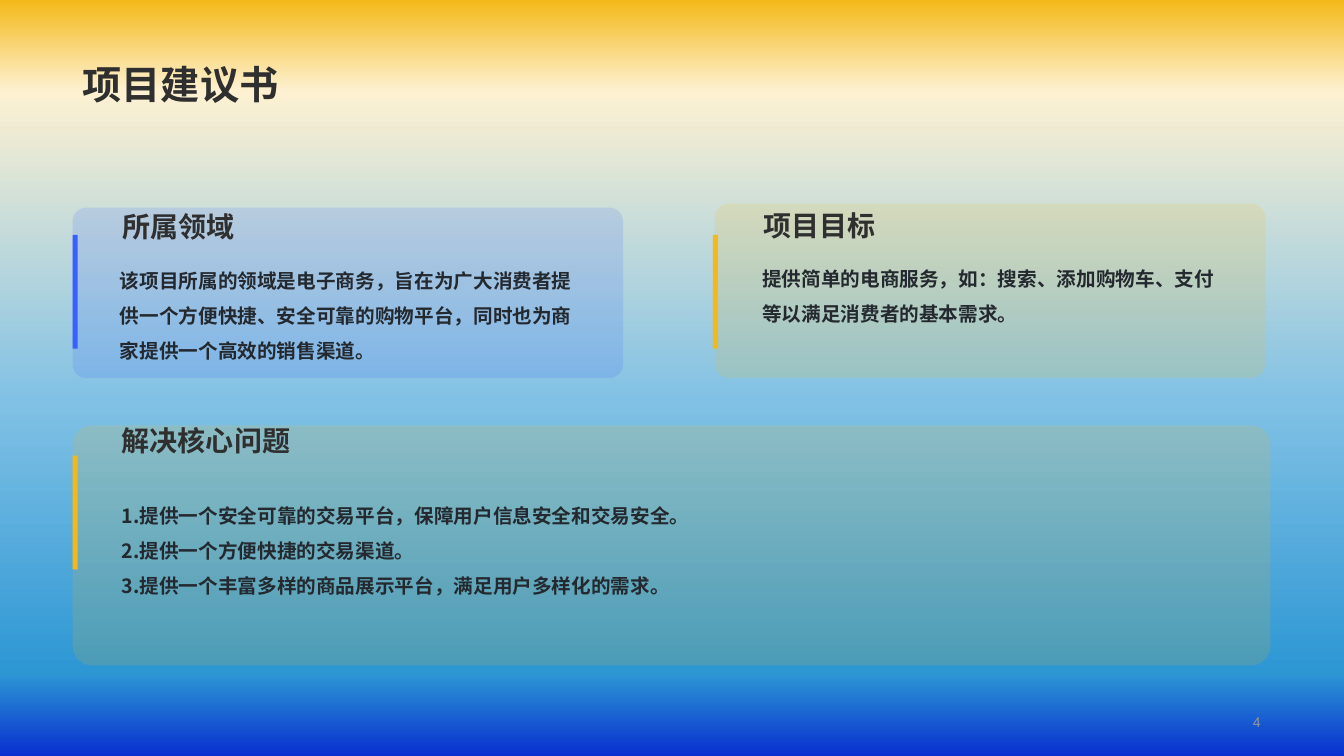
from dataclasses import dataclass

from lxml import etree
from pptx import Presentation
from pptx.dml.color import RGBColor
from pptx.enum.shapes import MSO_SHAPE as Shape
from pptx.enum.text import MSO_ANCHOR as Anchor, MSO_AUTO_SIZE as AutoSize, PP_ALIGN as Align
from pptx.oxml.ns import qn
from pptx.util import Inches, Pt


@dataclass(frozen=True)
class Theme:
    heading_font: str = "Arial"
    body_font: str = "Noto Sans CJK SC"
    heading: str = "2F2F2F"
    body: str = "24292F"
    muted: str = "979797"
    blue: str = "3960FF"
    gold: str = "F4B919"
    title_size: int = 28
    heading_size: int = 20
    body_size: int = 14
    number_size: int = 10
    card_opacity: int = 15
    # Position in percent and colour, from top to bottom
    background: tuple = ((0, "F4B919"), (12, "FDF1D1"), (53, "81C1E5"),
                         (89, "2D97D4"), (100, "0830D0"))


class ProposalSlide:
    def __init__(self, deck, theme):
        self.theme = theme
        self.slide = deck.slides.add_slide(deck.slide_layouts[5])
        self.shapes = self.slide.shapes

    def background(self):
        fill = self.slide.background.fill
        fill.gradient()
        fill.gradient_angle = 270
        stops = self.slide.element.find(".//" + qn("a:gsLst"))
        for stop in list(stops):
            stops.remove(stop)
        for percent, colour in self.theme.background:
            stop = etree.SubElement(stops, qn("a:gs"), pos=str(percent * 1000))
            etree.SubElement(stop, qn("a:srgbClr"), val=colour)

    def set_text(self, frame, lines, size, colour, font, bold=True,
                 align=Align.LEFT, spacing=1.0):
        frame.word_wrap = True
        frame.text = "\n".join(lines)
        for paragraph in frame.paragraphs:
            paragraph.alignment = align
            paragraph.line_spacing = spacing
            style = paragraph.font
            style.size = Pt(size)
            style.bold = bold
            style.color.rgb = RGBColor.from_string(colour)
            style.name = font
            latin = paragraph._p.find(".//" + qn("a:latin"))
            east_asian = etree.Element(qn("a:ea"), typeface=self.theme.body_font)
            latin.addnext(east_asian)

    def title(self, text):
        title = self.shapes.title
        title.left, title.top = Inches(0.72), Inches(0)
        title.width, title.height = Inches(11.88), Inches(1.12)
        frame = title.text_frame
        frame.vertical_anchor = Anchor.BOTTOM
        frame.auto_size = AutoSize.NONE
        self.set_text(frame, [text], self.theme.title_size, self.theme.heading,
                      self.theme.heading_font, spacing=0.9)

    def label(self, text, left, top, width, height, size, colour,
              anchor=Anchor.TOP, **style):
        box = self.shapes.add_textbox(Inches(left), Inches(top),
                                      Inches(width), Inches(height))
        box.text_frame.vertical_anchor = anchor
        self.set_text(box.text_frame, [text], size, colour,
                      self.theme.heading_font, **style)

    def block(self, kind, left, top, width, height, colour):
        block = self.shapes.add_shape(kind, Inches(left), Inches(top),
                                      Inches(width), Inches(height))
        block.shadow.inherit = False
        block.fill.solid()
        block.fill.fore_color.rgb = RGBColor.from_string(colour)
        block.line.fill.background()
        return block

    def panel(self, left, top, width, height, colour, lines, bottom_inset):
        panel = self.block(Shape.ROUNDED_RECTANGLE, left, top, width, height, colour)
        panel.adjustments[0] = 0.08
        tint = panel._element.spPr.find(qn("a:solidFill"))[0]
        etree.SubElement(tint, qn("a:alpha"), val=str(self.theme.card_opacity * 1000))
        frame = panel.text_frame
        frame.margin_left = frame.margin_right = Inches(0.43)
        frame.margin_top, frame.margin_bottom = Inches(0.39), Inches(bottom_inset)
        frame.vertical_anchor = Anchor.MIDDLE
        self.set_text(frame, lines, self.theme.body_size, self.theme.body,
                      self.theme.body_font, spacing=1.5)

    def card(self, heading, lines, colour, panel, bar, heading_at, bottom_inset):
        self.panel(*panel, colour, lines, bottom_inset)
        self.block(Shape.RECTANGLE, *bar, 0.05, 1.13, colour)
        self.label(heading, *heading_at, 2.81, 0.44,
                   self.theme.heading_size, self.theme.heading)

    def page_number(self, number):
        self.label(number, 9.69, 7.04, 2.91, 0.24, self.theme.number_size,
                   self.theme.muted, anchor=Anchor.MIDDLE, bold=False,
                   align=Align.RIGHT)


def main():
    deck = Presentation()
    deck.slide_width, deck.slide_height = Inches(13.33), Inches(7.5)
    theme = Theme()
    proposal = ProposalSlide(deck, theme)

    # Background, title and page number
    proposal.background()
    proposal.title("项目建议书")
    proposal.page_number("4")

    # Field of the project
    proposal.card(
        "所属领域",
        ["该项目所属的领域是电子商务，旨在为广大消费者提供一个方便快捷、安全可靠的购物平台，"
         "同时也为商家提供一个高效的销售渠道。"],
        theme.blue, panel=(0.72, 2.06, 5.46, 1.69), bar=(0.72, 2.33),
        heading_at=(1.12, 2.03), bottom_inset=0.05)

    # Goal of the project
    proposal.card(
        "项目目标",
        ["提供简单的电商服务，如：搜索、添加购物车、支付等以满足消费者的基本需求。"],
        theme.gold, panel=(7.09, 2.02, 5.46, 1.73), bar=(7.07, 2.33),
        heading_at=(7.47, 2.02), bottom_inset=0.4)

    # Core problems to solve
    proposal.card(
        "解决核心问题",
        ["1.提供一个安全可靠的交易平台，保障用户信息安全和交易安全。",
         "2.提供一个方便快捷的交易渠道。",
         "3.提供一个丰富多样的商品展示平台，满足用户多样化的需求。"],
        theme.gold, panel=(0.72, 4.22, 11.88, 2.38), bar=(0.72, 4.52),
        heading_at=(1.11, 4.15), bottom_inset=0.4)

    deck.save("out.pptx")


if __name__ == "__main__":
    main()
